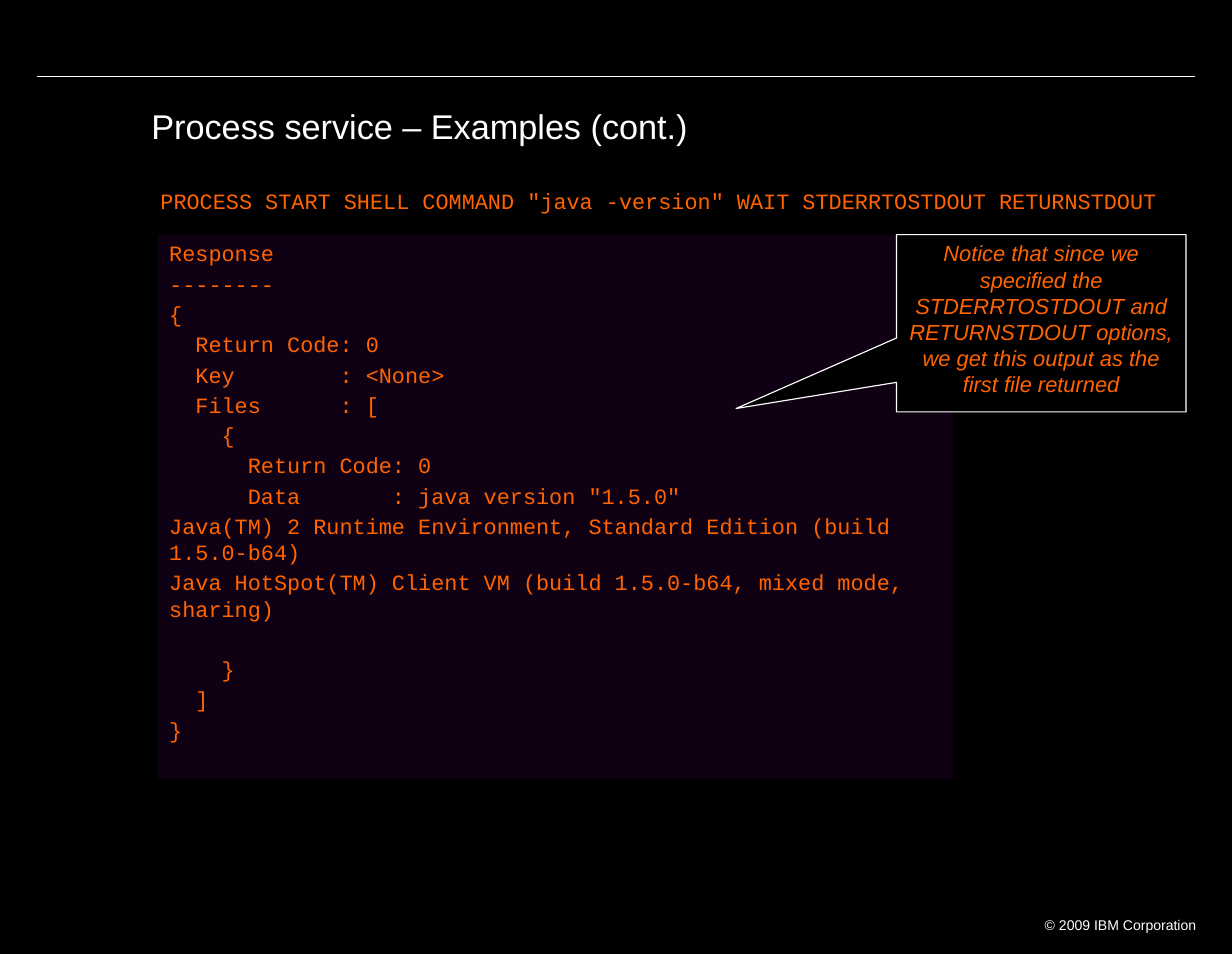
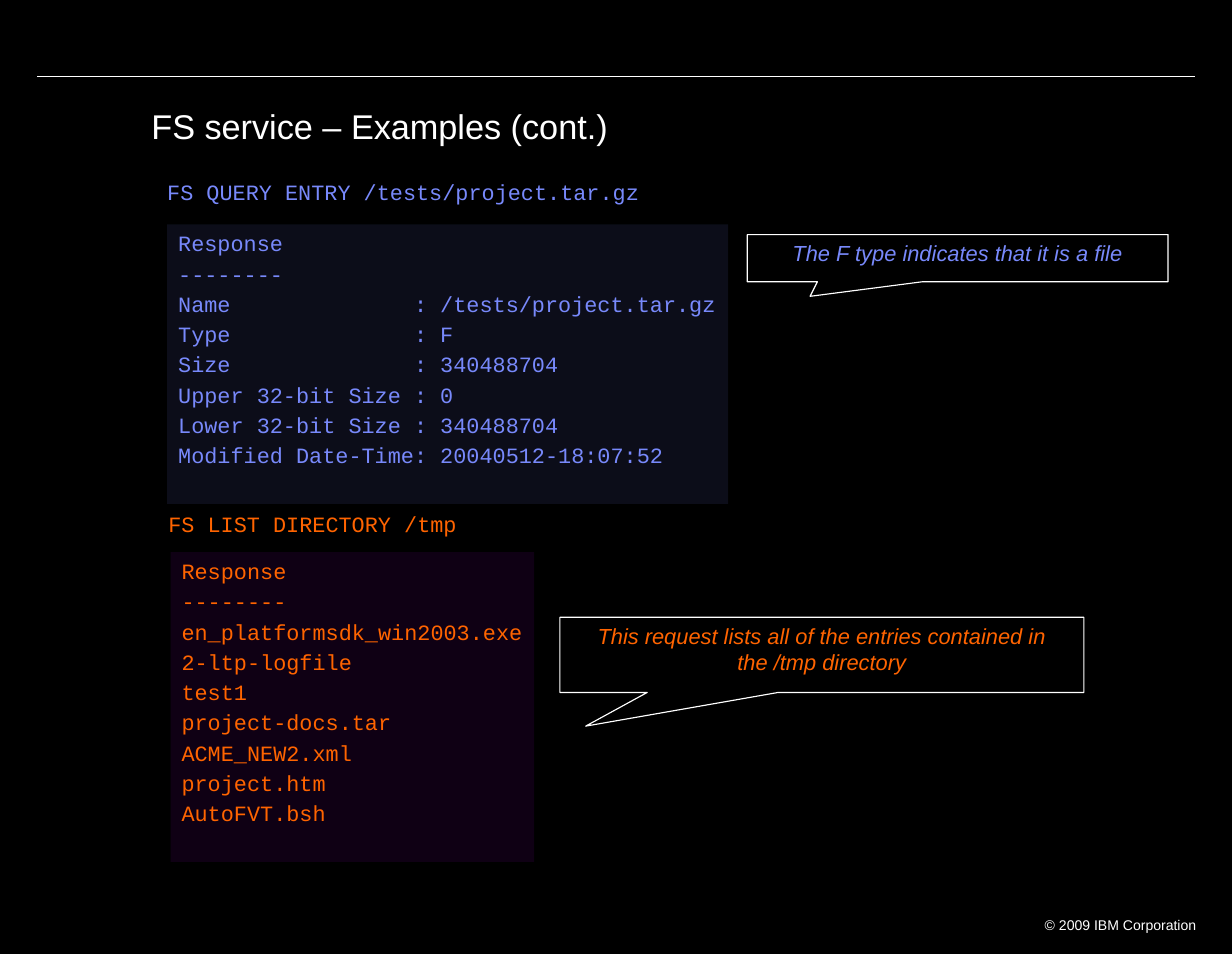
import pptx
import pptx.util
import pptx.dml.color
import pptx.enum.shapes
import pptx.enum.text
import pptx.oxml.ns
from lxml import etree

SCALE = 9144  # EMU per px, 100 px to the inch
BLACK, WHITE, ORANGE, BLUE, PURPLE = "000000", "FFFFFF", "FF6400", "7889FB", "9900CC"
ALIGN = pptx.enum.text.PP_ALIGN
SHAPE = pptx.enum.shapes.MSO_SHAPE
qn = pptx.oxml.ns.qn

TITLE = dict(name="Arial", size=pptx.util.Pt(22))
CODE = dict(name="Courier New", size=pptx.util.Pt(14))
NOTE = dict(name="Arial", size=pptx.util.Pt(14), italic=True)
FOOTER = dict(name="Arial", size=pptx.util.Pt(9))
CODE_GAP = 2.6    # points after each code line
CODE_LINE = 19.4  # points from one code line to the next


def px(n):
    return pptx.util.Emu(n * SCALE)


def rgb(color):
    return pptx.dml.color.RGBColor.from_string(color)


class Deck:
    def __init__(self, width, height):
        self.prs = pptx.Presentation()
        self.prs.slide_width, self.prs.slide_height = px(width), px(height)
        fill = self.prs.slide_master.background.fill
        fill.solid()
        fill.fore_color.rgb = rgb(BLACK)
        self.s = None

    # Frame shared by all slides
    def slide(self, title):
        self.s = self.prs.slides.add_slide(self.prs.slide_layouts[6])
        self.rule(33, 68, 1065)
        self.text((912, 811, 165, 23), "© 2009 IBM Corporation", FOOTER, WHITE,
                  insets=(11, 6), alignment=ALIGN.RIGHT)
        self.text((124, 92, 960, 62), title, TITLE, WHITE,
                  insets=(11, 6), line_spacing=0.9)

    def rule(self, x1, y, x2):
        line = self.s.shapes.add_connector(
            pptx.enum.shapes.MSO_CONNECTOR.STRAIGHT, px(x1), px(y), px(x2), px(y))
        line.line.color.rgb = rgb(WHITE)
        line.line.width = pptx.util.Pt(0.75)
        etree.SubElement(line._element.spPr, qn("a:effectLst"))

    # Text
    def fill_text(self, sp, lines, font, color, insets=(10, 5), wrap=True, **layout):
        tf = sp.text_frame
        x, y = map(px, insets)
        frame = dict(margin_left=x, margin_right=x, margin_top=y, margin_bottom=y,
                     word_wrap=wrap, vertical_anchor=pptx.enum.text.MSO_ANCHOR.TOP)
        for key, value in frame.items():
            setattr(tf, key, value)
        for i, line in enumerate(lines):
            p = tf.add_paragraph() if i else tf.paragraphs[0]
            r = p.add_run()
            r.text = line
            for key, value in ({"alignment": ALIGN.LEFT} | layout).items():
                setattr(p, key, value)
            for key, value in font.items():
                setattr(r.font, key, value)
            r.font.color.rgb = rgb(color)
        return tf

    def text(self, box, text, font, color, **layout):
        sp = self.s.shapes.add_textbox(*map(px, box))
        self.fill_text(sp, [text], font, color, **layout)

    def command(self, x, y, text, color):
        self.text((x, y, 948, 23), text, CODE, color, insets=(0, 0))

    # Filled shapes
    def shape(self, kind, box, fill):
        sp = self.s.shapes.add_shape(kind, *map(px, box))
        sp.shadow.inherit = False
        sp.fill.solid()
        sp.fill.fore_color.rgb = rgb(fill)
        return sp

    def response(self, box, text, color, tint, wrap=False):
        sp = self.shape(SHAPE.RECTANGLE, box, tint)
        sp.line.fill.background()
        clr = sp._element.spPr.find(qn("a:solidFill")).find(qn("a:srgbClr"))
        etree.SubElement(clr, qn("a:alpha"), val="10000")
        parts = [part.split("\n") for part in text.strip("\n").split("\n\n")]
        tf = self.fill_text(sp, sum(parts, []), CODE, color, wrap=wrap,
                            space_after=pptx.util.Pt(CODE_GAP))
        # A break between parts is one line high
        end = 0
        for part in parts[:-1]:
            end += len(part)
            tf.paragraphs[end - 1].space_after = pptx.util.Pt(CODE_GAP + CODE_LINE)

    def callout(self, box, tip, text, color):
        sp = self.shape(SHAPE.RECTANGULAR_CALLOUT, box, BLACK)
        sp.line.color.rgb = rgb(WHITE)
        sp.line.width = pptx.util.Pt(0.75)
        x, y, w, h = box
        sp.adjustments[0] = (tip[0] - x) / w - 0.5
        sp.adjustments[1] = (tip[1] - y) / h - 0.5
        self.fill_text(sp, [text], NOTE, color, alignment=ALIGN.CENTER)


JAVA_RESPONSE = """
Response
--------
{
  Return Code: 0
  Key        : <None>
  Files      : [
    {
      Return Code: 0
      Data       : java version "1.5.0"
Java(TM) 2 Runtime Environment, Standard Edition (build 1.5.0-b64)
Java HotSpot(TM) Client VM (build 1.5.0-b64, mixed mode, sharing)

    }
  ]
}
"""

QUERY_RESPONSE = """
Response
--------
Name              : /tests/project.tar.gz
Type              : F
Size              : 340488704
Upper 32-bit Size : 0
Lower 32-bit Size : 340488704
Modified Date-Time: 20040512-18:07:52
"""

LIST_RESPONSE = """
Response
--------
en_platformsdk_win2003.exe
2-ltp-logfile
test1
project-docs.tar
ACME_NEW2.xml
project.htm
AutoFVT.bsh
"""


def main():
    deck = Deck(1098, 850)

    # Process service
    deck.slide("Process service – Examples (cont.)")
    deck.command(143, 167, 'PROCESS START SHELL COMMAND "java -version" WAIT '
                 "STDERRTOSTDOUT RETURNSTDOUT", ORANGE)
    deck.response((141, 209, 708, 485), JAVA_RESPONSE, ORANGE, PURPLE, wrap=True)
    deck.callout((799, 209, 258, 158), (656, 364),
                 "Notice that since we specified the STDERRTOSTDOUT and RETURNSTDOUT "
                 "options, we get this output as the first file returned", ORANGE)

    # FS service
    deck.slide("FS service – Examples (cont.)")
    deck.command(149, 159, "FS QUERY ENTRY /tests/project.tar.gz", BLUE)
    deck.response((149, 200, 500, 249), QUERY_RESPONSE, BLUE, BLUE)
    deck.callout((666, 209, 375, 42), (722, 264),
                 "The F type indicates that it is a file", BLUE)
    deck.command(150, 455, "FS LIST DIRECTORY /tmp", ORANGE)
    deck.response((152, 492, 324, 276), LIST_RESPONSE, ORANGE, PURPLE)
    deck.callout((499, 550, 467, 67), (522, 647),
                 "This request lists all of the entries contained in the /tmp directory",
                 ORANGE)

    deck.prs.save("out.pptx")


if __name__ == "__main__":
    main()
